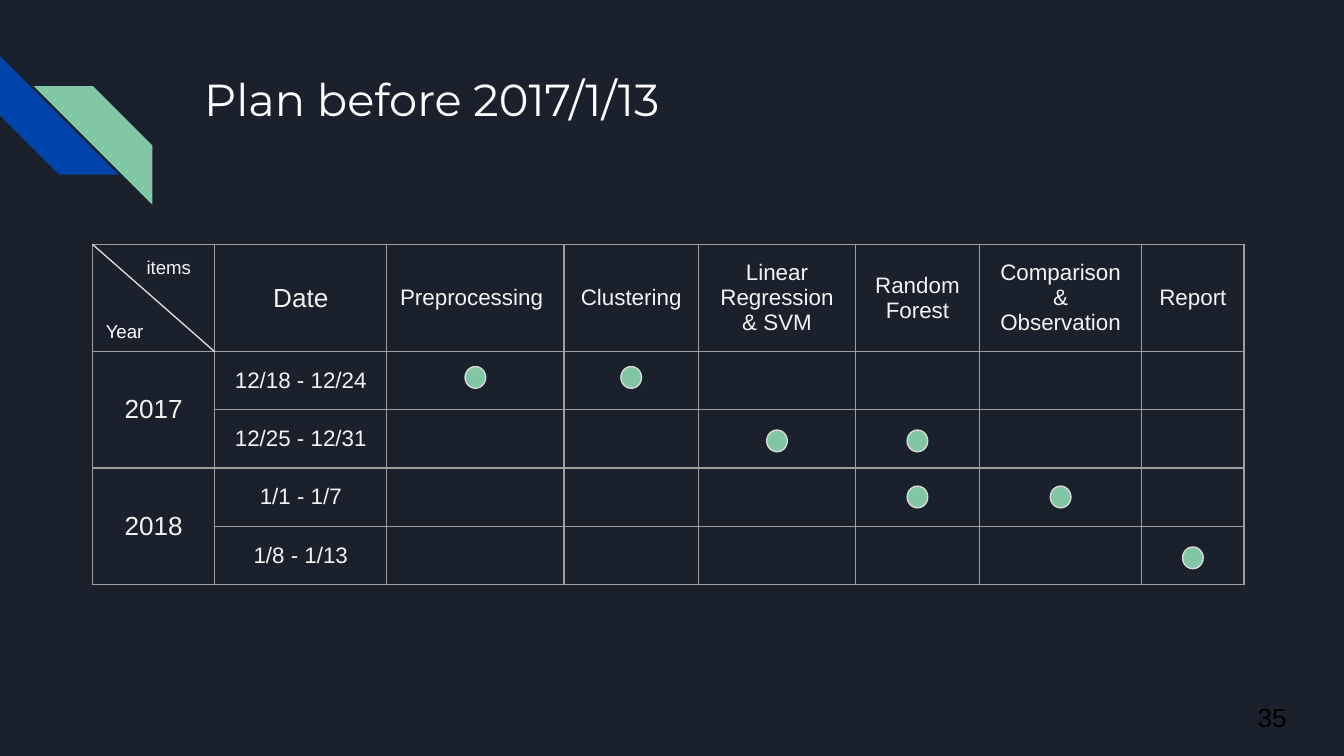
from pptx import Presentation
from pptx import util as u
from pptx.dml.color import RGBColor
from pptx.enum import shapes, text
from pptx.oxml import parse_xml
from pptx.oxml.ns import nsdecls, qn

NAVY = RGBColor(0x1B, 0x21, 0x2C)
BLUE = RGBColor(0x01, 0x45, 0xAC)
GREEN = RGBColor(0x82, 0xC7, 0xA5)
WHITE = RGBColor(0xFF, 0xFF, 0xFF)
PALE = RGBColor(0xF3, 0xF3, 0xF3)
SILVER = RGBColor(0xD9, 0xD9, 0xD9)
GRAY = RGBColor(0x9E, 0x9E, 0x9E)
BLACK = RGBColor(0, 0, 0)

# Content
TITLE = "Plan before 2017/1/13"
HEADERS = ["items", "Date", "Preprocessing", "Clustering", "Linear\nRegression & SVM",
           "Random\nForest", "Comparison\n&\nObservation", "Report"]
# year (for the first of two rows), dates, marked columns, top of the marks in cm
WEEKS = [
    ("2017", "12/18 - 12/24", [2, 3], 6.93),
    ("", "12/25 - 12/31", [4, 5], 8.13),
    ("2018", "1/1 - 1/7", [5, 6], 9.19),
    ("", "1/8 - 1/13", [7], 10.34),
]

# Layout in cm
LEFT, TOP = 1.75, 4.62
COLUMNS = [2.31, 3.25, 3.35, 2.54, 2.97, 2.34, 3.07, 1.93]
ROWS = [1.93] + [1.1] * len(WEEKS)
MARGIN = 0.25
DOT_WIDTH, DOT_HEIGHT = 0.39, 0.41
STRIPE = 2.24


def box(left, top, width, height):
    return [u.Cm(value) for value in (left, top, width, height)]


def write(frame, content, size, color, font="Arial", align=text.PP_ALIGN.LEFT):
    frame.text = content
    formats = {"size": u.Pt(size), "name": font, "bold": False}
    for paragraph in frame.paragraphs:
        paragraph.alignment = align
        for run in paragraph.runs:
            for name, value in formats.items():
                setattr(run.font, name, value)
            run.font.color.rgb = color


def add_text(place, *args, **options):
    frame = slide.shapes.add_textbox(*box(*place)).text_frame
    frame.word_wrap = True
    for side in ("left", "right", "top", "bottom"):
        setattr(frame, f"margin_{side}", u.Cm(MARGIN))
    write(frame, *args, **options)


def add_plain_shape(kind, place, color):
    shape = slide.shapes.add_shape(kind, *box(*place))
    shape.shadow.inherit = False
    shape.fill.solid()
    shape.fill.fore_color.rgb = color
    shape.line.fill.background()
    return shape


def add_borders(cell):
    properties = cell._tc.get_or_add_tcPr()
    for position, side in enumerate(("lnL", "lnR", "lnT", "lnB")):
        properties.insert(position, parse_xml(
            f'<a:{side} {nsdecls("a")} w="{u.Pt(0.75)}"><a:solidFill>'
            f'<a:srgbClr val="{GRAY}"/></a:solidFill></a:{side}>'))


presentation = Presentation()
presentation.slide_width, presentation.slide_height = u.Cm(25.4), u.Cm(14.29)
slide = presentation.slides.add_slide(presentation.slide_layouts[6])
slide.background.fill.solid()
slide.background.fill.fore_color.rgb = NAVY

# Corner stripes
stripe_kind = shapes.MSO_SHAPE.DIAGONAL_STRIPE
blue_stripe = add_plain_shape(stripe_kind, (0, 1.06, STRIPE, STRIPE), BLUE)
blue_stripe.rotation = 270
green_stripe = add_plain_shape(stripe_kind, (0.64, 1.63, STRIPE, STRIPE), GREEN)
green_stripe._element.spPr.find(qn("a:xfrm")).set("flipH", "1")

# Title and page number
add_text((3.61, 1.1, 19.55, 2.54), TITLE, 24, WHITE, font="Montserrat")
add_text((22.57, 13, 2, 1.1), "35", 14, BLACK, align=text.PP_ALIGN.RIGHT)

# Schedule table
table = slide.shapes.add_table(
    len(ROWS), len(COLUMNS), *box(LEFT, TOP, sum(COLUMNS), sum(ROWS))).table
table.first_row = table.horz_banding = False
for column, width in zip(table.columns, COLUMNS):
    column.width = u.Cm(width)
for row, height in zip(table.rows, ROWS):
    row.height = u.Cm(height)

blanks = [""] * (len(COLUMNS) - 2)
grid = [HEADERS] + [[year, dates] + blanks for year, dates, _, _ in WEEKS]
for r, values in enumerate(grid):
    for c, value in enumerate(values):
        cell = table.cell(r, c)
        cell.fill.background()
        add_borders(cell)
        cell.vertical_anchor = text.MSO_ANCHOR.MIDDLE
        cell.margin_left = cell.margin_right = u.Cm(MARGIN)
        cell.margin_top = cell.margin_bottom = u.Cm(MARGIN if value else 0.1)
        large = value == "Date" or c == 0
        align = text.PP_ALIGN.LEFT if value == "Preprocessing" else text.PP_ALIGN.CENTER
        write(cell.text_frame, value, 14 if large else 12, PALE, align=align)
for r in (1, 3):
    table.cell(r, 0).merge(table.cell(r + 1, 0))

# Corner cell, split by a diagonal
corner = table.cell(0, 0)
corner.vertical_anchor = text.MSO_ANCHOR.TOP
corner.margin_left = u.Cm(1.02)
write(corner.text_frame, HEADERS[0], 10, PALE)
diagonal = slide.shapes.add_connector(
    shapes.MSO_CONNECTOR.STRAIGHT, u.Cm(LEFT), u.Cm(TOP),
    u.Cm(LEFT + COLUMNS[0]), u.Cm(6.65))
diagonal.line.color.rgb = SILVER
diagonal.line.width = u.Pt(0.75)
diagonal._element.spPr.append(parse_xml(f'<a:effectLst {nsdecls("a")}/>'))
add_text((LEFT, 5.84, 1.27, 0.71), "Year", 10, WHITE)

# Marks, centred in their columns
for _, _, marked, top in WEEKS:
    for c in marked:
        center = LEFT + sum(COLUMNS[:c]) + COLUMNS[c] / 2
        dot = add_plain_shape(shapes.MSO_SHAPE.OVAL,
                              (center - DOT_WIDTH / 2, top, DOT_WIDTH, DOT_HEIGHT), GREEN)
        dot.line.color.rgb = SILVER
        dot.line.width = u.Pt(0.75)

presentation.save("out.pptx")
